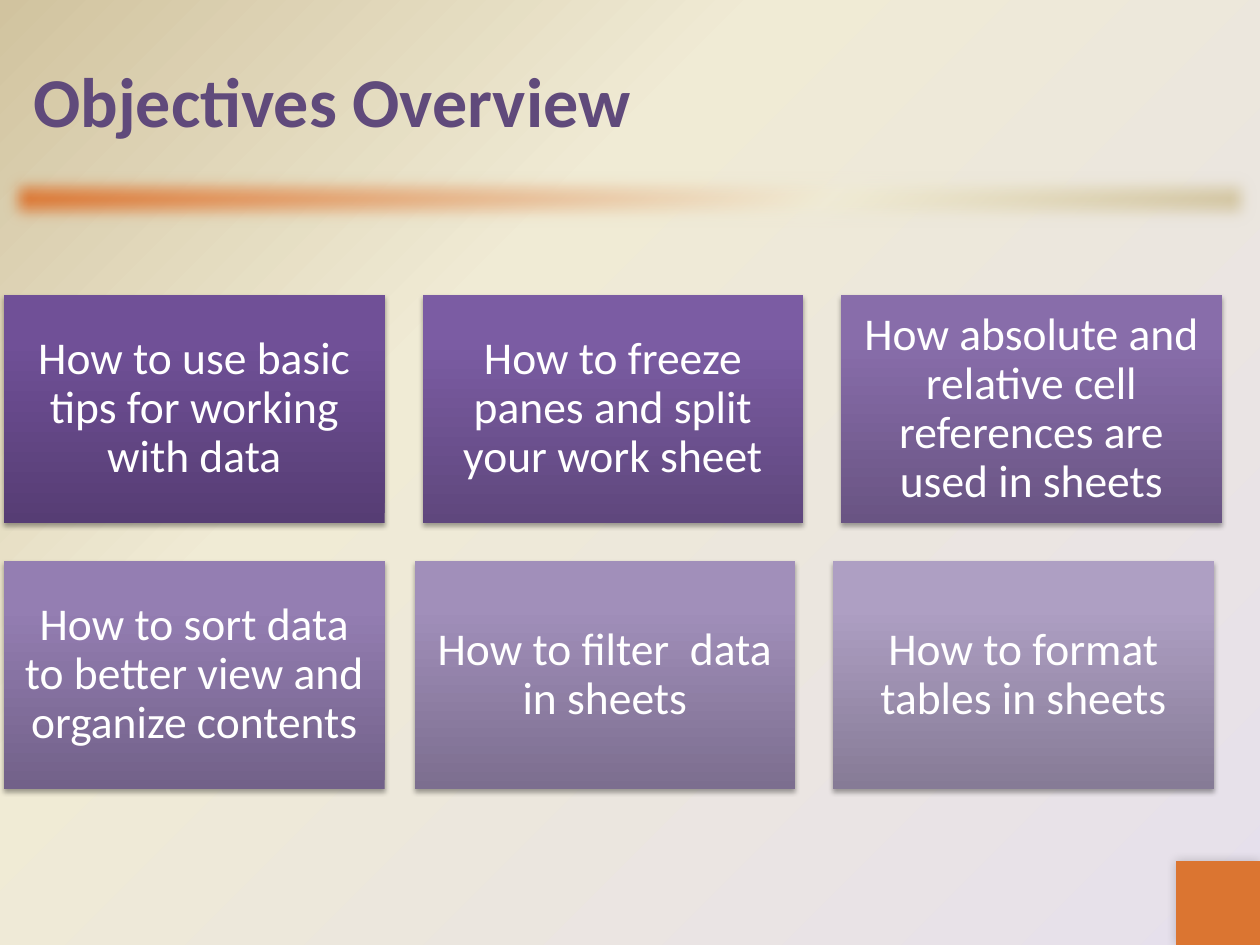
from dataclasses import dataclass

from lxml.etree import SubElement
from pptx import Presentation
from pptx.dml.color import RGBColor
from pptx.enum.shapes import MSO_SHAPE
from pptx.enum.text import MSO_ANCHOR, PP_ALIGN
from pptx.oxml.ns import qn
from pptx.util import Pt


@dataclass(frozen=True)
class Theme:
    font: str = "Calibri"
    title_size: float = 40
    card_size: float = 26
    title: str = "604A7B"
    accent: str = "DB7531"
    cream: str = "F0EBD5"
    tan: str = "D1C39F"
    lavender: str = "E6E0EC"
    white: str = "FFFFFF"
    shadow: str = "000000"


def add_color(parent, color, alpha=None):
    clr = SubElement(parent, qn("a:srgbClr"), val=color)
    if alpha is not None:
        SubElement(clr, qn("a:alpha"), val=str(alpha * 1000))


def set_gradient(element, fill, stops, angle=None):
    """Write the stops; without an angle, radiate from the bottom right corner."""
    fill.gradient()
    grad = element.find(".//" + qn("a:gradFill"))
    for child in list(grad):
        grad.remove(child)
    gs_lst = SubElement(grad, qn("a:gsLst"))
    for pos, color in stops:
        add_color(SubElement(gs_lst, qn("a:gs"), pos=str(pos * 1000)), color)
    if angle is not None:
        SubElement(grad, qn("a:lin"), ang=str(angle * 60000), scaled="0")
    else:
        radial = SubElement(grad, qn("a:path"))
        radial.set("path", "circle")
        SubElement(radial, qn("a:fillToRect"), l="100000", t="100000")


class SlideBuilder:
    def __init__(self, prs, theme):
        self.theme = theme
        self.s = prs.slides.add_slide(prs.slide_layouts[6])

    def background(self, stops):
        set_gradient(self.s.element, self.s.background.fill, stops)

    def rect(self, x, y, w, h):
        sp = self.s.shapes.add_shape(MSO_SHAPE.RECTANGLE, Pt(x), Pt(y), Pt(w), Pt(h))
        sp.shadow.inherit = False
        sp.line.fill.background()
        return sp

    def effect(self, sp, name, **lengths):
        effects = sp.element.spPr.find(qn("a:effectLst"))
        return SubElement(effects, qn(name), {k: str(v) for k, v in lengths.items()})

    def shadow(self, sp, alpha, blur, dist, angle):
        shadow = self.effect(sp, "a:outerShdw", blurRad=Pt(blur), dist=Pt(dist),
                             dir=angle * 60000, rotWithShape=0)
        add_color(shadow, self.theme.shadow, alpha)

    def text(self, sp, text, size, color, align, bold=False):
        tf = sp.text_frame
        tf.word_wrap = True
        tf.vertical_anchor = MSO_ANCHOR.MIDDLE
        p = tf.paragraphs[0]
        p.alignment = align
        r = p.add_run()
        r.text = text
        r.font.name = self.theme.font
        r.font.size = Pt(size)
        r.font.bold = bold
        r.font.color.rgb = RGBColor.from_string(color)
        return tf

    def title(self, text, x, y, w, h):
        sp = self.s.shapes.add_textbox(Pt(x), Pt(y), Pt(w), Pt(h))
        self.text(sp, text, self.theme.title_size, self.theme.title,
                  PP_ALIGN.LEFT, bold=True)

    def soft_bar(self, x, y, w, h, stops):
        sp = self.rect(x, y, w, h)
        set_gradient(sp.element, sp.fill, stops, angle=45)
        self.effect(sp, "a:softEdge", rad=Pt(10))

    def corner_square(self, x, y, side):
        sp = self.rect(x, y, side, side)
        sp.fill.solid()
        sp.fill.fore_color.rgb = RGBColor.from_string(self.theme.accent)
        self.shadow(sp, alpha=20, blur=6, dist=0, angle=225)

    def card(self, text, colors, x, y, w, h):
        sp = self.rect(x, y, w, h)
        set_gradient(sp.element, sp.fill, zip((0, 80, 100), colors), angle=270)
        self.shadow(sp, alpha=35, blur=3.1, dist=1.8, angle=90)
        tf = self.text(sp, text, self.theme.card_size, self.theme.white, PP_ALIGN.CENTER)
        tf.margin_left = tf.margin_right = tf.margin_top = tf.margin_bottom = Pt(7.8)
        tf.paragraphs[0].line_spacing = 0.9


OBJECTIVES = [
    ("How to use basic tips for working with data", ("563D74", "705097", "704F99")),
    ("How to freeze panes and split your work sheet", ("5F477D", "7B5CA3", "7C5BA5")),
    ("How absolute and relative cell references are used in sheets",
     ("695483", "886DAA", "886DAC")),
    ("How to sort data to better view and organize contents",
     ("726189", "947EB2", "957EB4")),
    ("How to filter  data in sheets", ("7C6E8F", "A18FBA", "A18FBC")),
    ("How to format tables in sheets", ("867B96", "AE9FC3", "AE9FC4")),
]
CARD_W, CARD_H = 217.5, 130.5
LEFT, TOP = 2.3, 168.5
COL_STEP, ROW_STEP = 239.2, 152
ROW_TWO_SHIFT = -4.6  # the later cards of the second row sit slightly left


def main():
    theme = Theme()
    prs = Presentation()
    prs.slide_width, prs.slide_height = Pt(720), Pt(540)
    slide = SlideBuilder(prs, theme)

    fade = [(65, theme.cream), (100, theme.tan)]
    slide.background([(0, theme.lavender)] + fade)
    slide.soft_bar(0, 96, 720, 36, [(0, theme.accent)] + fade)
    slide.corner_square(672, 492, 48)
    slide.title("Objectives Overview", 12, 12, 696, 90)

    for i, (text, colors) in enumerate(OBJECTIVES):
        row, col = divmod(i, 3)
        shift = ROW_TWO_SHIFT if row and col else 0
        slide.card(text, colors, LEFT + col * COL_STEP + shift,
                   TOP + row * ROW_STEP, CARD_W, CARD_H)

    prs.save("out.pptx")


if __name__ == "__main__":
    main()
